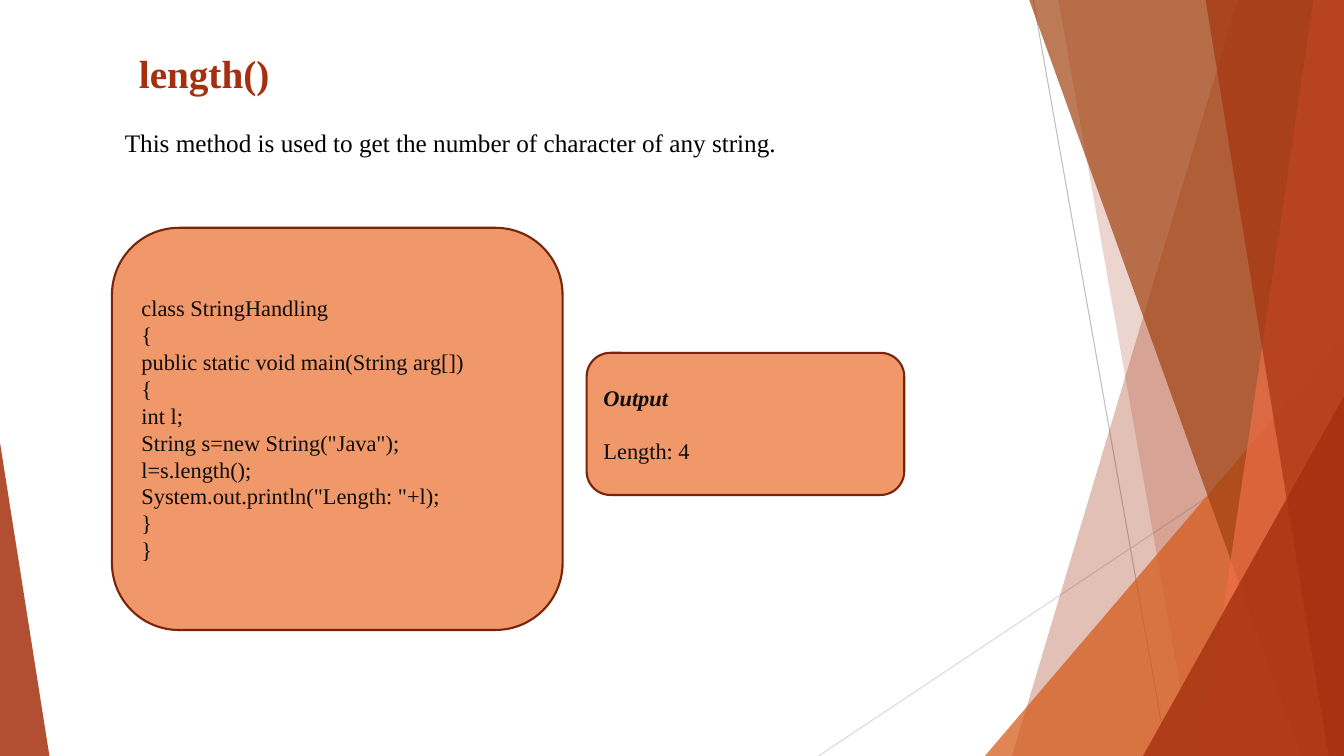
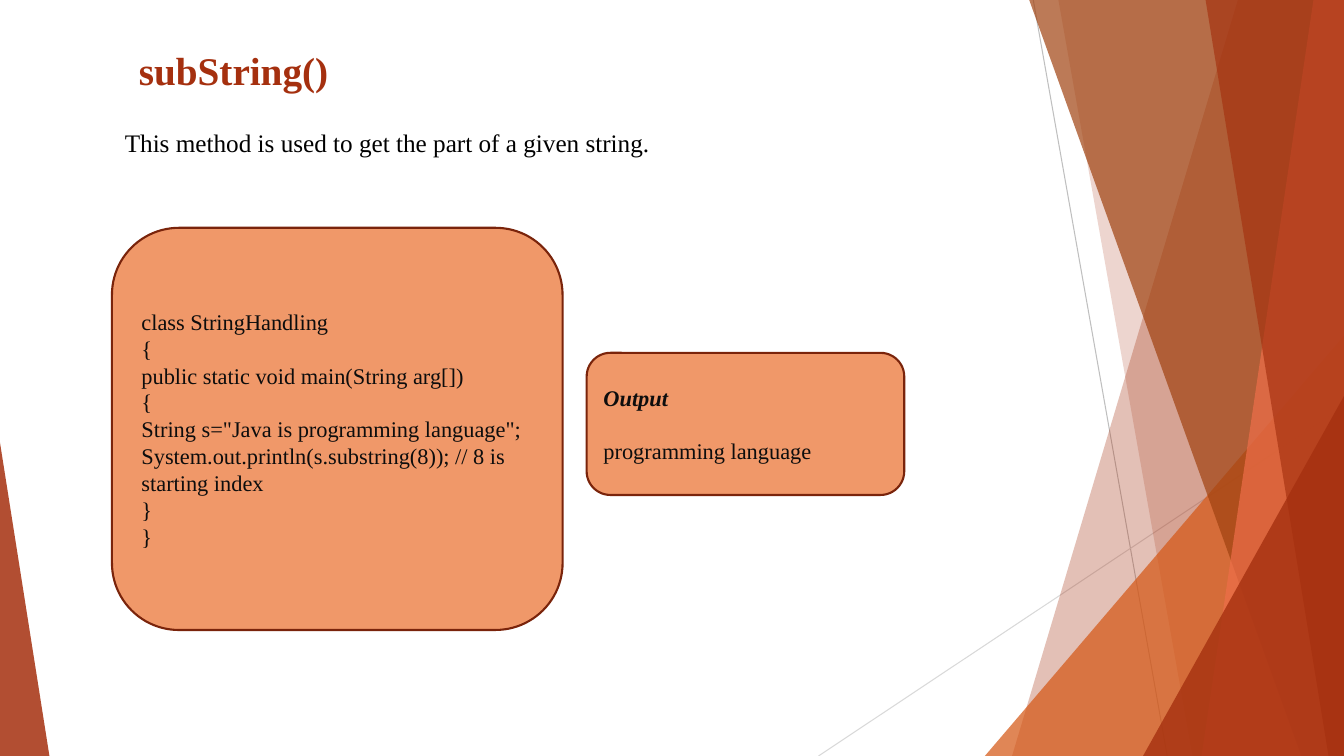
"""Build two slides that explain Java string methods."""
from dataclasses import dataclass
from typing import Any

from lxml import etree
from pptx import Presentation, util as u
from pptx.dml import color
from pptx.enum import shapes, text
from pptx.oxml import ns

SLIDE_WIDTH, SLIDE_HEIGHT = u.Inches(13.33), u.Inches(7.5)
GRID_COLUMNS = GRID_ROWS = 100

COLORS = {
    "accent": "A5300F",
    "orange": "D55816",
    "brown": "A04210",
    "coral": "EE6E4A",
    "panel": "F09869",
    "border": "7A240B",
    "code": "0D0D0D",
    "body": "000000",
    "gray": "BFBFBF",
    "light gray": "D9D9D9",
}


@dataclass(frozen=True)
class Area:
    """A rectangle in grid columns and rows."""
    column: float
    row: float
    columns: float
    rows: float

    def lengths(self) -> tuple[int, int, int, int]:
        """Return left, top, width and height."""
        return (across(self.column), down(self.row),
                across(self.columns), down(self.rows))


@dataclass(frozen=True)
class Ray:
    """A thin line between two grid points."""
    start: tuple[float, float]
    end: tuple[float, float]
    color: str


@dataclass(frozen=True)
class Band:
    """A full-height band that runs from a slanted edge to the right side."""
    top_column: float
    bottom_column: float
    color: str
    opacity: int


@dataclass(frozen=True)
class Corner:
    """A triangle that stands on the bottom of the slide."""
    area: Area
    apex: float
    color: str
    opacity: int


@dataclass(frozen=True)
class Method:
    """The content of one slide."""
    title: str
    title_area: Area
    summary: str
    code: tuple[str, ...]
    output: str


RAYS = (
    Ray((76.88, 0), (86.85, 100), "gray"),
    Ray((100, 53.73), (60.9, 100), "light gray"),
)
FACETS = (
    Band(92.1, 75.3, "accent", 30),
    Band(78.75, 88.73, "accent", 20),
    Corner(Area(73.28, 44.4, 26.72, 55.6), 1, "orange", 72),
    Band(76.58, 96.83, "brown", 70),
    Band(97.73, 89.4, "coral", 70),
    Band(89.7, 98.85, "accent", 65),
    Corner(Area(85.05, 52.4, 14.95, 47.6), 1, "accent", 80),
    Corner(Area(0, 58.53, 3.68, 41.47), 0, "accent", 85),
)
SUMMARY_AREA = Area(8.55, 12, 70.5, 9.47)
CODE_AREA = Area(8.33, 30.13, 33.53, 53.2)
OUTPUT_AREA = Area(43.65, 46.67, 23.63, 18.8)

TITLE_FONT = {"name": "Times New Roman", "size": u.Pt(28), "bold": True}
SUMMARY_FONT = {"name": "Times New Roman", "size": u.Pt(18)}
CODE_FONT = {"name": "Times New Roman", "size": u.Pt(16)}
HEADING_FONT = CODE_FONT | {"bold": True, "italic": True}
TOP_FRAME = {"word_wrap": True, "vertical_anchor": text.MSO_ANCHOR.TOP}
MIDDLE_FRAME = TOP_FRAME | {"vertical_anchor": text.MSO_ANCHOR.MIDDLE}
BOTTOM_FRAME = TOP_FRAME | {"vertical_anchor": text.MSO_ANCHOR.BOTTOM}
LEFT = {"alignment": text.PP_ALIGN.LEFT}
HEADING = LEFT | {"space_after": u.Pt(19)}

OPENING = ("class StringHandling", "{",
           "public static void main(String arg[])", "{")
CLOSING = ("}", "}")
METHODS = (
    Method(
        "length()", Area(9.6, 5.87, 55.65, 6.13),
        "This method is used to get the number of character of any string.",
        ("int l;", 'String s=new String("Java");', "l=s.length();",
         'System.out.println("Length: "+l);'),
        "Length: 4",
    ),
    Method(
        "subString()", Area(9.6, 5.47, 55.65, 6.67),
        "This method is used to get the part of a given string.",
        ('String s="Java is programming language";',
         "System.out.println(s.substring(8)); // 8 is starting index"),
        "programming language",
    ),
)


def across(columns: float) -> int:
    """Convert grid columns to a length."""
    return round(SLIDE_WIDTH * columns / GRID_COLUMNS)


def down(rows: float) -> int:
    """Convert grid rows to a length."""
    return round(SLIDE_HEIGHT * rows / GRID_ROWS)


def rgb(name: str) -> color.RGBColor:
    """Look up a named colour."""
    return color.RGBColor.from_string(COLORS[name])


def apply(target: Any, values: dict[str, Any]) -> None:
    """Set each format value on the target."""
    for name, value in values.items():
        setattr(target, name, value)


def fill_shape(shape: Any, name: str) -> None:
    """Give a shape a solid fill and no shadow."""
    shape.shadow.inherit = False
    shape.fill.solid()
    shape.fill.fore_color.rgb = rgb(name)


def draw_ray(slide: Any, ray: Ray) -> Any:
    """Draw one thin line."""
    (x1, y1), (x2, y2) = ray.start, ray.end
    connector = slide.shapes.add_connector(
        shapes.MSO_CONNECTOR.STRAIGHT,
        across(x1), down(y1), across(x2), down(y2))
    connector.line.color.rgb = rgb(ray.color)
    connector.line.width = u.Pt(0.75)
    etree.SubElement(connector.element.spPr, ns.qn("a:effectLst"))
    return connector


def draw_facet(slide: Any, facet: Band | Corner) -> Any:
    """Draw one translucent band or triangle."""
    if isinstance(facet, Band):
        builder = slide.shapes.build_freeform(across(facet.top_column), 0)
        builder.add_line_segments([
            (SLIDE_WIDTH, 0), (SLIDE_WIDTH, SLIDE_HEIGHT),
            (across(facet.bottom_column), SLIDE_HEIGHT)])
        shape = builder.convert_to_shape()
    else:
        shape = slide.shapes.add_shape(
            shapes.MSO_SHAPE.ISOSCELES_TRIANGLE, *facet.area.lengths())
        shape.adjustments[0] = facet.apex
    fill_shape(shape, facet.color)
    shape.line.fill.background()
    solid = next(shape.element.spPr.iter(ns.qn("a:srgbClr")))
    etree.SubElement(solid, ns.qn("a:alpha"), val=str(facet.opacity * 1000))
    return shape


def decorate_layout(slide: Any) -> None:
    """Move the shared facets to the layout behind the slide."""
    layout = slide.slide_layout
    for placeholder in list(layout.placeholders):
        layout.shapes.element.remove(placeholder.element)
    drawn = [draw_ray(slide, ray) for ray in RAYS]
    drawn += [draw_facet(slide, facet) for facet in FACETS]
    for shape in drawn:
        layout.shapes.element.append(shape.element)


def write(frame: Any, index: int, line: str, font: dict[str, Any],
          name: str, layout: dict[str, Any] = LEFT) -> None:
    """Write one formatted paragraph."""
    paragraph = frame.add_paragraph() if index else frame.paragraphs[0]
    apply(paragraph, layout)
    run = paragraph.add_run()
    run.text = line
    apply(run.font, font)
    run.font.color.rgb = rgb(name)


def add_label(slide: Any, area: Area, line: str, frame: dict[str, Any],
              font: dict[str, Any], name: str) -> None:
    """Add a text box with a single paragraph."""
    box = slide.shapes.add_textbox(*area.lengths())
    apply(box.text_frame, frame)
    write(box.text_frame, 0, line, font, name)


def add_panel(slide: Any, area: Area) -> Any:
    """Add a rounded panel and return its text frame."""
    panel = slide.shapes.add_shape(
        shapes.MSO_SHAPE.ROUNDED_RECTANGLE, *area.lengths())
    fill_shape(panel, "panel")
    panel.line.color.rgb = rgb("border")
    panel.line.width = u.Pt(1.5)
    apply(panel.text_frame, MIDDLE_FRAME)
    return panel.text_frame


def fill_slide(slide: Any, method: Method) -> None:
    """Place the title, summary, code and output of a method."""
    add_label(slide, method.title_area, method.title,
              TOP_FRAME, TITLE_FONT, "accent")
    add_label(slide, SUMMARY_AREA, method.summary,
              BOTTOM_FRAME, SUMMARY_FONT, "body")
    code = add_panel(slide, CODE_AREA)
    for index, line in enumerate(OPENING + method.code + CLOSING):
        write(code, index, line, CODE_FONT, "code")
    output = add_panel(slide, OUTPUT_AREA)
    write(output, 0, "Output", HEADING_FONT, "code", HEADING)
    write(output, 1, method.output, CODE_FONT, "code")


def main() -> None:
    """Build and save the presentation."""
    presentation = Presentation()
    apply(presentation, {"slide_width": SLIDE_WIDTH,
                         "slide_height": SLIDE_HEIGHT})
    blank = presentation.slide_layouts[6]
    slides = [presentation.slides.add_slide(blank) for _ in METHODS]
    decorate_layout(slides[0])
    for slide, method in zip(slides, METHODS):
        fill_slide(slide, method)
    presentation.save("out.pptx")


if __name__ == "__main__":
    main()
